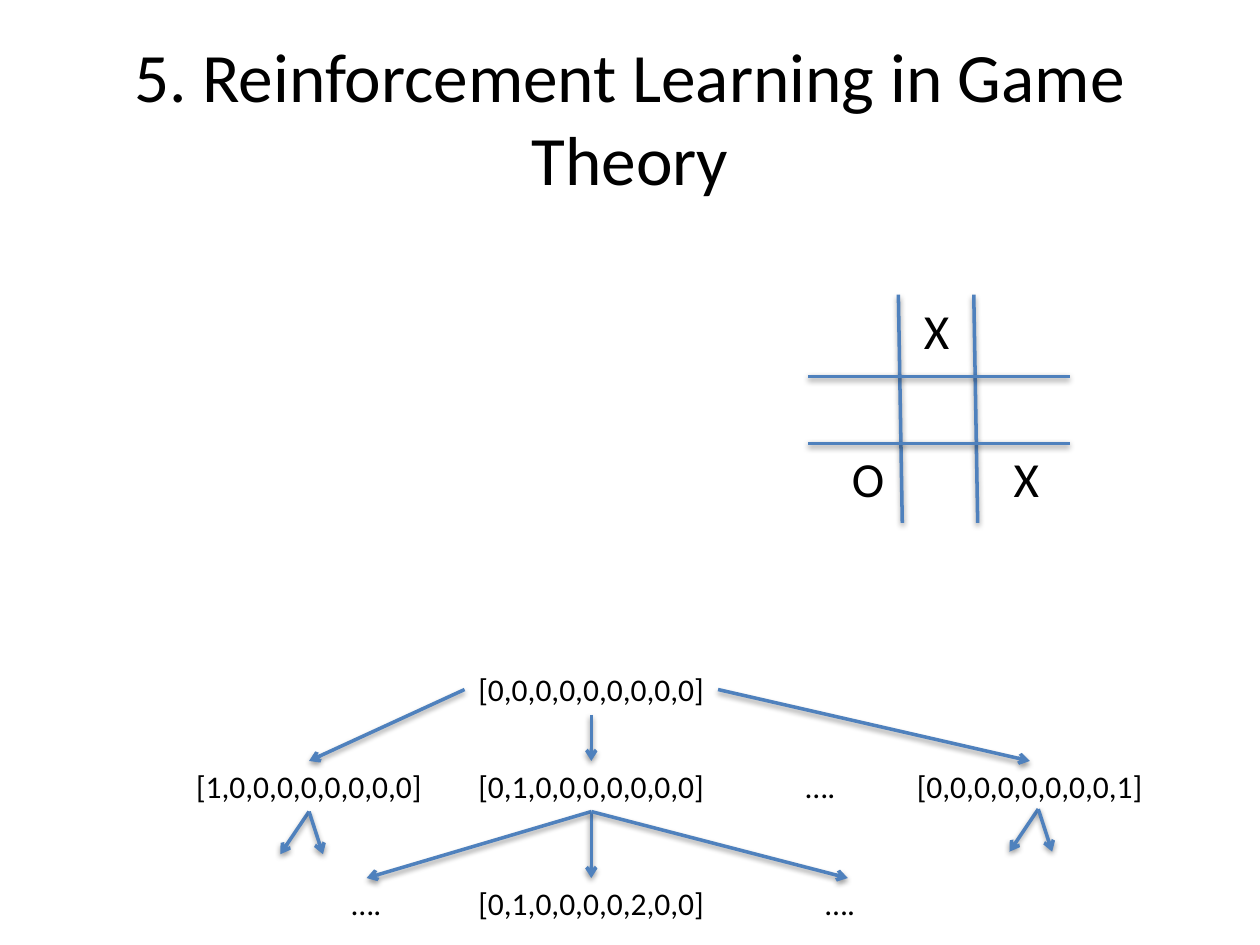
from dataclasses import dataclass

import pptx
import pptx.dml.color
import pptx.enum.shapes
import pptx.enum.text
import pptx.util
from lxml import etree
from pptx.util import Cm

COLORS = {"text": "000000", "line": "4F81BD"}
FONT = "Calibri"
STATE_WIDTH, DOTS_WIDTH, STATE_HEIGHT = 5.11, 1.12, 1.02
MARK_HEIGHT = 1.45

# Tree columns (centres) and rows (tops), in cm
LEFT, MIDDLE, RIGHT = 6.23, 11.92, 20.76
ROOT_ROW, MOVE_ROW, REPLY_ROW = 13.39, 15.34, 17.7
MOVE_BOTTOM = MOVE_ROW + STATE_HEIGHT


@dataclass
class Label:
    """Text centred on x, with its top edge, box size and font size."""
    text: str
    x: float
    top: float
    width: float = STATE_WIDTH
    height: float = STATE_HEIGHT
    size: float = 18


@dataclass
class Stroke:
    """A straight line from one point to another, in cm."""
    x1: float
    y1: float
    x2: float
    y2: float
    arrow: bool = True


def add_run(paragraph, text: str, size: float) -> None:
    """Add one formatted run to a paragraph."""
    run = paragraph.add_run()
    run.text = text
    run.font.name = FONT
    run.font.size = pptx.util.Pt(size)
    run.font.color.rgb = pptx.dml.color.RGBColor.from_string(COLORS["text"])


def add_label(slide, label: Label) -> None:
    """Draw a label as an unwrapped text box."""
    box = slide.shapes.add_textbox(Cm(label.x - label.width / 2), Cm(label.top),
                                   Cm(label.width), Cm(label.height))
    frame = box.text_frame
    frame.word_wrap = False
    frame.auto_size = pptx.enum.text.MSO_AUTO_SIZE.SHAPE_TO_FIT_TEXT
    frame.paragraphs[0].alignment = pptx.enum.text.PP_ALIGN.CENTER
    add_run(frame.paragraphs[0], label.text, label.size)


def add_stroke(slide, stroke: Stroke) -> None:
    """Draw a line with the theme's soft shadow and an optional arrowhead."""
    connector = slide.shapes.add_connector(
        pptx.enum.shapes.MSO_CONNECTOR.STRAIGHT,
        Cm(stroke.x1), Cm(stroke.y1), Cm(stroke.x2), Cm(stroke.y2))
    connector.line.color.rgb = pptx.dml.color.RGBColor.from_string(COLORS["line"])
    connector.line.width = pptx.util.Pt(2)
    if stroke.arrow:
        outline = connector.line._get_or_add_ln()
        etree.SubElement(outline, pptx.oxml.ns.qn("a:tailEnd"), type="arrow")


def fork(x: float, y: float) -> list[Stroke]:
    """Return two short arrows that stand for further moves."""
    return [Stroke(x, y, x + dx, y + 0.86) for dx in (-0.58, 0.28)]


def add_title(slide, text: str) -> None:
    """Place and fill the title placeholder."""
    title = slide.shapes.title
    title.left, title.top = Cm(1.27), Cm(0.76)
    title.width, title.height = Cm(22.86), Cm(3.18)
    frame = title.text_frame
    frame.vertical_anchor = pptx.enum.text.MSO_ANCHOR.MIDDLE
    frame.paragraphs[0].alignment = pptx.enum.text.PP_ALIGN.CENTER
    add_run(frame.paragraphs[0], text, 39.6)


board = [Stroke(x, 5.94, x + 0.08, 10.54, arrow=False) for x in (18.11, 19.63)]
board += [Stroke(16.29, y, 21.56, y, arrow=False) for y in (8.94, 7.59)]
marks = [
    Label("X", 18.88, 5.94, 1.04, MARK_HEIGHT, 28),
    Label("X", 20.69, 8.92, 1.04, MARK_HEIGHT, 28),
    Label("O", 17.5, 8.92, 1.17, MARK_HEIGHT, 28),
]
states = [
    Label("[0,0,0,0,0,0,0,0,0]", MIDDLE, ROOT_ROW),
    Label("[1,0,0,0,0,0,0,0,0]", LEFT, MOVE_ROW),
    Label("[0,1,0,0,0,0,0,0,0]", MIDDLE, MOVE_ROW),
    Label("….", 16.54, MOVE_ROW, DOTS_WIDTH),
    Label("[0,0,0,0,0,0,0,0,1]", RIGHT, MOVE_ROW),
    Label("….", 7.39, REPLY_ROW, DOTS_WIDTH),
    Label("[0,1,0,0,0,0,2,0,0]", MIDDLE, REPLY_ROW),
    Label("….", 16.94, REPLY_ROW, DOTS_WIDTH),
]
root_middle = ROOT_ROW + STATE_HEIGHT / 2
moves = [
    Stroke(MIDDLE - STATE_WIDTH / 2, root_middle, LEFT, MOVE_ROW),
    Stroke(MIDDLE, ROOT_ROW + STATE_HEIGHT, MIDDLE, MOVE_ROW),
    Stroke(MIDDLE + STATE_WIDTH / 2, root_middle, RIGHT, MOVE_ROW),
]
replies = [Stroke(MIDDLE, MOVE_BOTTOM, x, REPLY_ROW) for x in (7.39, MIDDLE, 17.09)]
further = fork(LEFT, MOVE_BOTTOM) + fork(20.93, 16.31)

deck = pptx.Presentation()
deck.slide_width, deck.slide_height = Cm(25.4), Cm(19.05)
slide = deck.slides.add_slide(deck.slide_layouts[5])
add_title(slide, "5. Reinforcement Learning in Game Theory")
for stroke in board:
    add_stroke(slide, stroke)
for label in marks + states:
    add_label(slide, label)
for stroke in moves + replies + further:
    add_stroke(slide, stroke)
deck.save("out.pptx")
